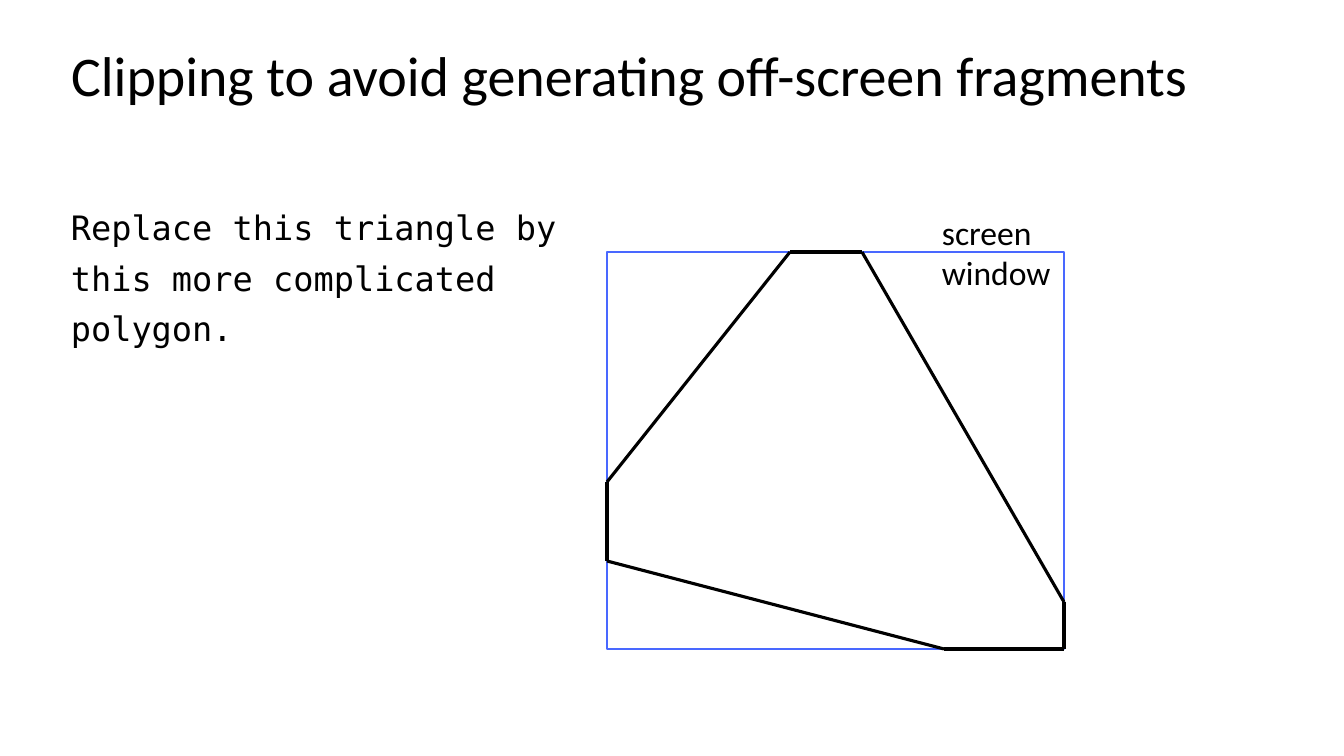
"""Build a slide on clipping a triangle against the screen window."""
from itertools import pairwise

from lxml.etree import SubElement
from pptx import Presentation
from pptx.dml.color import RGBColor
from pptx.enum.shapes import MSO_CONNECTOR, MSO_SHAPE
from pptx.enum.text import MSO_ANCHOR, MSO_AUTO_SIZE, PP_ALIGN
from pptx.oxml.ns import qn
from pptx.util import Emu, Pt

COLORS = {"ink": "000000", "window": "4968FF"}
SANS, MONO = "Calibri", "DejaVu Sans Mono"


def px(length):
    return Emu(round(length * 914400 / 100.8))


def color(name):
    return RGBColor.from_string(COLORS[name])


class ClippingSlide:
    def __init__(self, deck):
        self.slide = deck.slides.add_slide(deck.slide_layouts[5])

    def fill_text(self, holder, lines, font, size, spacing=1.0, before=0, anchor=MSO_ANCHOR.TOP):
        frame = holder.text_frame
        frame.text = "\n".join(lines)
        frame.word_wrap = True
        frame.auto_size = MSO_AUTO_SIZE.NONE
        frame.vertical_anchor = anchor
        for paragraph in frame.paragraphs:
            paragraph.alignment = PP_ALIGN.LEFT
            paragraph.line_spacing = spacing
            paragraph.space_before = Pt(before)
            for run in paragraph.runs:
                run.font.name = font
                run.font.size = Pt(size)
                run.font.color.rgb = color("ink")

    def title(self, text, left, top, width, height):
        heading = self.slide.shapes.title
        heading.left, heading.top = px(left), px(top)
        heading.width, heading.height = px(width), px(height)
        self.fill_text(heading, [text], SANS, 40, spacing=0.9, anchor=MSO_ANCHOR.BOTTOM)

    def text(self, lines, left, top, width, height, font, **style):
        box = self.slide.shapes.add_textbox(px(left), px(top), px(width), px(height))
        self.fill_text(box, lines, font, 24, **style)

    def outline(self, left, top, width, height):
        frame = self.slide.shapes.add_shape(
            MSO_SHAPE.RECTANGLE, px(left), px(top), px(width), px(height))
        frame.shadow.inherit = False
        frame.fill.background()
        frame.line.color.rgb = color("window")
        frame.line.width = Pt(1)

    def edge(self, start, end):
        line = self.slide.shapes.add_connector(
            MSO_CONNECTOR.STRAIGHT, *map(px, start), *map(px, end))
        line.line.color.rgb = color("ink")
        line.line.width = Pt(2.25)
        SubElement(line._element.spPr, qn("a:effectLst"))


deck = Presentation()
deck.slide_width, deck.slide_height = px(1344), px(756)
clipping = ClippingSlide(deck)

left, top, width, height = window = 607, 252, 457, 397
right, bottom = left + width, top + height
clipped_polygon = [
    (left, 482), (790, top), (862, top), (right, 602),
    (right, bottom), (944, bottom), (left, 561),
]

clipping.outline(*window)
clipping.text(["Replace this triangle by", "this more complicated", "polygon."],
              61, 207, 1232, 517, MONO, spacing=0.9, before=10)
clipping.title("Clipping to avoid generating off-screen fragments", 61, 20, 1189, 94)
clipping.text(["screen window"], 932, 207, 167, 92, SANS)
for start, end in pairwise(clipped_polygon + clipped_polygon[:1]):
    clipping.edge(start, end)

deck.save("out.pptx")
